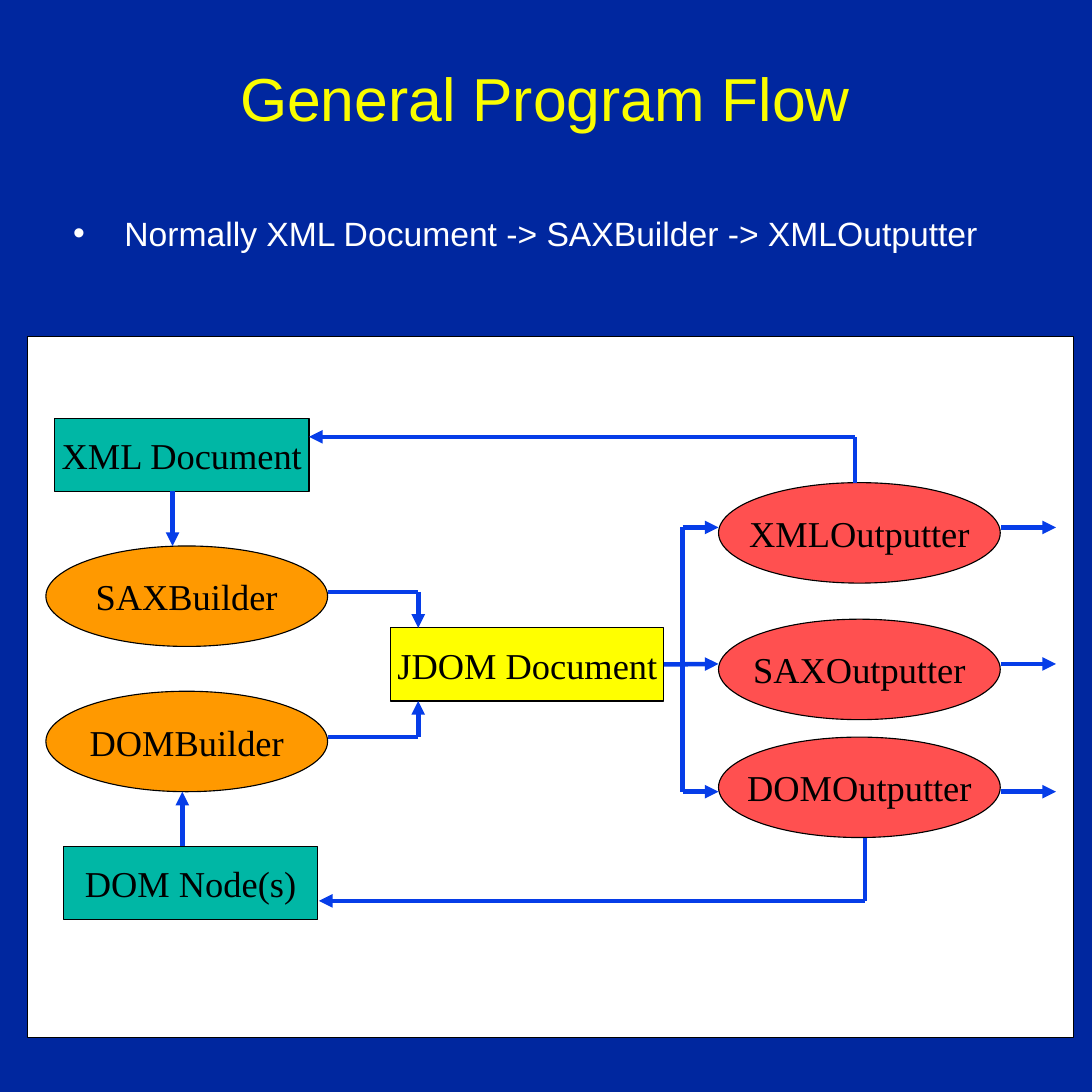
from lxml.etree import SubElement as Sub
from pptx import Presentation
from pptx.dml.color import RGBColor
from pptx.enum.shapes import MSO_CONNECTOR as Link, MSO_SHAPE as Form
from pptx.enum.text import MSO_ANCHOR as Anchor, PP_ALIGN as Align
from pptx.oxml.ns import qn
from pptx.util import Inches, Pt

NAVY, WHITE, BLACK = "00279F", "FFFFFF", "000000"
LEMON, YELLOW, BLUE = "FAFD00", "FFFF00", "063DE8"
TEAL, ORANGE, RED = "00B7A5", "FF9900", "FF5050"


def tint(code):
    return RGBColor.from_string(code)


def write(shape, text, size=24, face="Times New Roman", color=BLACK,
          align=Align.CENTER, anchor=Anchor.MIDDLE, wrap=False,
          inset=(0.1, 0.05), hang=0):
    frame = shape.text_frame
    frame.word_wrap = wrap
    frame.vertical_anchor = anchor
    frame.margin_left = frame.margin_right = Inches(inset[0])
    frame.margin_top = frame.margin_bottom = Inches(inset[1])
    para = frame.paragraphs[0]
    para.text = text
    para.alignment = align
    if hang:
        props = para._p.get_or_add_pPr()
        props.set("marL", str(Inches(hang)))
        props.set("indent", str(-Inches(hang)))
        Sub(props, qn("a:buFont")).set("typeface", face)
        Sub(props, qn("a:buChar")).set("char", "•")
    font = para.font
    font.size, font.name = Pt(size), face
    font.color.rgb = tint(color)


def add_text(slide, box, text, **style):
    shape = slide.shapes.add_textbox(*map(Inches, box))
    write(shape, text, face="Arial", wrap=True, inset=(0.12, 0.06), **style)


def add_form(slide, form, box, fill):
    shape = slide.shapes.add_shape(form, *map(Inches, box))
    shape.shadow.inherit = False
    shape.fill.solid()
    shape.fill.fore_color.rgb = tint(fill)
    shape.line.color.rgb = tint(BLACK)
    shape.line.width = Pt(0.75)
    return shape


def add_line(slide, start, end, arrow):
    line = slide.shapes.add_connector(Link.STRAIGHT, *map(Inches, start + end))
    line.line.color.rgb = tint(BLUE)
    line.line.width = Pt(3)
    if arrow:
        Sub(line.line._get_or_add_ln(), qn("a:tailEnd")).set("type", "triangle")
    Sub(line._element.spPr, qn("a:effectLst"))
    return line


def draw_flow(slide, box):
    left, top = box[:2]
    add_form(slide, Form.RECTANGLE, box, WHITE)

    def node(text, form, x, y, size, fill):
        shape = add_form(slide, form, (left + x, top + y, *size), fill)
        write(shape, text)
        return shape

    def route(*points, arrow=True):
        spots = [(left + x, top + y) for x, y in points]
        last = len(spots) - 2
        return [add_line(slide, start, end, arrow and i == last)
                for i, (start, end) in enumerate(zip(spots, spots[1:]))]

    block, oval = (2.33, 0.67), (2.58, 0.92)
    node("XML Document", Form.RECTANGLE, 0.25, 0.75, block, TEAL)
    node("DOM Node(s)", Form.RECTANGLE, 0.33, 4.67, block, TEAL)
    hub = node("JDOM Document", Form.RECTANGLE, 3.33, 2.67, (2.5, 0.67), YELLOW)
    for text, y in ("SAXBuilder", 1.92), ("DOMBuilder", 3.25):
        node(text, Form.OVAL, 0.17, y, oval, ORANGE)

    trunk = 6
    route((trunk, 1.75), (trunk, 4.17), arrow=False)
    for text, y, port in (("XMLOutputter", 1.34, 1.75),
                          ("SAXOutputter", 2.59, 3),
                          ("DOMOutputter", 3.67, 4.17)):
        node(text, Form.OVAL, 6.33, y, oval, RED)
        route((8.92, port), (9.42, port))
        if port == 3:
            feed, = route((5.83, port), (6.33, port))
            feed.begin_connect(hub, 3)
        else:
            route((trunk, port), (6.33, port))

    route((1.33, 1.42), (1.33, 1.92))
    route((1.42, 4.67), (1.42, 4.17))
    route((2.75, 2.34), (3.58, 2.34), (3.58, 2.67))
    route((2.75, 3.67), (3.58, 3.67), (3.58, 3.34))
    route((7.58, 1.34), (7.58, 0.92), (2.58, 0.92))
    route((7.67, 4.59), (7.67, 5.17), (2.67, 5.17))


def draw_head(slide, box):
    left, top, width, height = box
    add_text(slide, (left, top, width, 1.02), "General Program Flow",
             size=40, color=LEMON)
    add_text(slide, (left + 0.05, top + 1.51, width - 0.12, height - 1.51),
             "Normally XML Document -> SAXBuilder -> XMLOutputter", size=22.2,
             color=WHITE, align=Align.LEFT, anchor=Anchor.TOP, hang=0.47)


def main():
    deck = Presentation()
    deck.slide_width = deck.slide_height = Inches(10)
    slide = deck.slides.add_slide(deck.slide_layouts[6])
    slide.background.fill.solid()
    slide.background.fill.fore_color.rgb = tint(NAVY)
    draw_head(slide, (0.5, 0.38, 8.98, 2.37))
    draw_flow(slide, (0.25, 3.08, 9.58, 6.42))
    deck.save("out.pptx")


if __name__ == "__main__":
    main()
